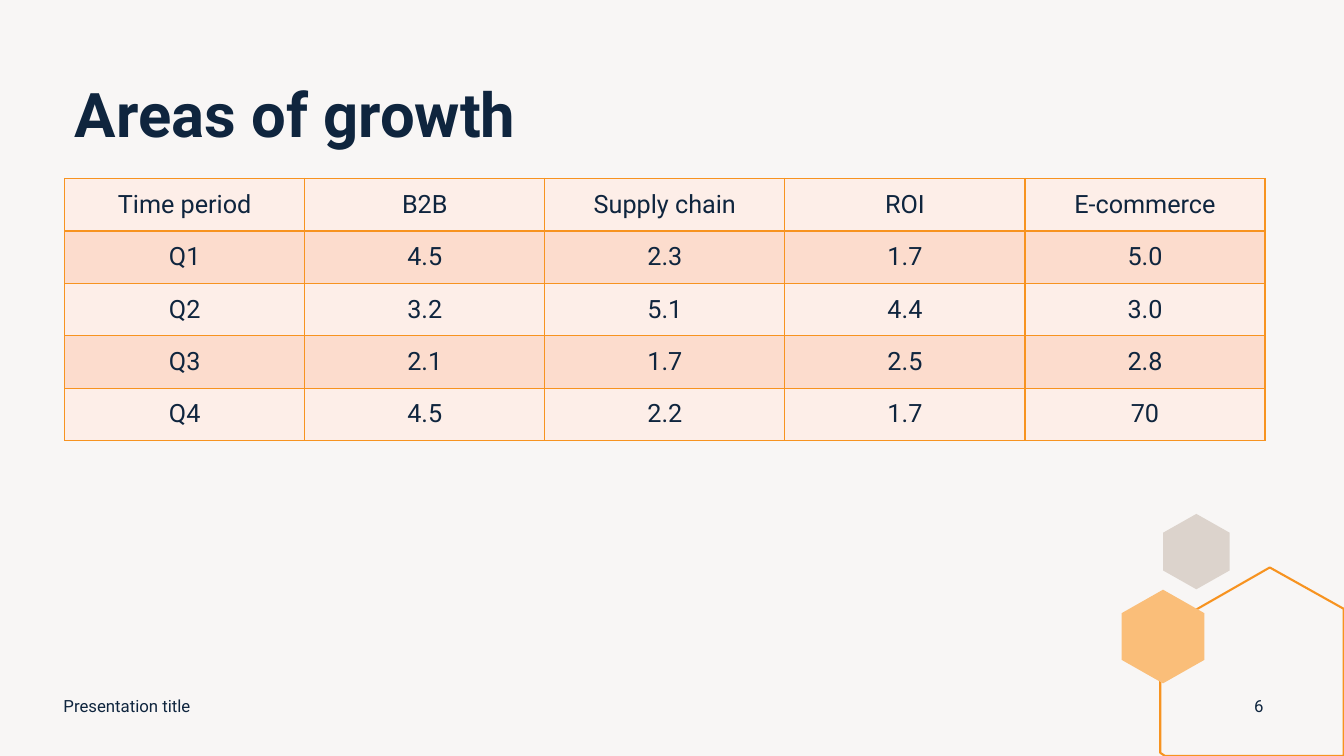
import dataclasses

import lxml.etree
import pptx
import pptx.dml.color
import pptx.enum.text
import pptx.oxml.ns
import pptx.slide
import pptx.util
from pptx.util import Cm

FONT = "Roboto"
COLORS = {
    "background": "F8F6F5",
    "text": "0F253E",
    "accent": "F79320",
    "soft accent": "FABE79",
    "stone": "DCD3CC",
    "light row": "FDEEE8",
    "dark row": "FCDCCD",
}
GROWTH = [
    ["Time period", "B2B", "Supply chain", "ROI", "E-commerce"],
    ["Q1", "4.5", "2.3", "1.7", "5.0"],
    ["Q2", "3.2", "5.1", "4.4", "3.0"],
    ["Q3", "2.1", "1.7", "2.5", "2.8"],
    ["Q4", "4.5", "2.2", "1.7", "70"],
]
COLUMN_WIDTH, ROW_HEIGHT = 6.05, 1.32
ALIGN = pptx.enum.text.PP_ALIGN
ANCHOR = pptx.enum.text.MSO_ANCHOR

Points = list[tuple[float, float]]


@dataclasses.dataclass
class Outline:
    points: Points
    fill: str | None = None
    line: str | None = None


@dataclasses.dataclass
class FooterItem:
    text: str
    left: float
    width: float
    align: ALIGN


def hexagon(left: float, top: float, width: float, height: float) -> Points:
    """Corners of an upright hexagon, clockwise from its top."""
    middle, right = left + width / 2, left + width
    upper, lower = top + height / 4, top + height * 3 / 4
    return [(middle, top), (right, upper), (right, lower),
            (middle, top + height), (left, lower), (left, upper)]


OUTLINES = [
    Outline(hexagon(29.31, 12.95, 1.68, 1.9), fill="stone"),
    Outline([(32, 14.3), (33.86, 15.34), (33.86, 19.05), (29.36, 19.05),
             (29.24, 18.97), (29.24, 15.88)], line="accent"),
    Outline(hexagon(28.27, 14.86, 2.08, 2.36), fill="soft accent"),
]
FOOTER = [
    FooterItem("Presentation title", 1.35, 11.43, ALIGN.LEFT),
    FooterItem("6", 31.09, 1.27, ALIGN.CENTER),
]


def rgb(name: str) -> pptx.dml.color.RGBColor:
    return pptx.dml.color.RGBColor.from_string(COLORS[name])


def write(frame, text: str, size: float, align: ALIGN, bold: bool = False) -> None:
    frame.text = text
    paragraph = frame.paragraphs[0]
    paragraph.alignment = align
    paragraph.font.name = FONT
    paragraph.font.size = pptx.util.Pt(size)
    paragraph.font.bold = bold
    paragraph.font.color.rgb = rgb("text")


def draw_outline(slide: pptx.slide.Slide, outline: Outline) -> None:
    start, *rest = [(Cm(x), Cm(y)) for x, y in outline.points]
    builder = slide.shapes.build_freeform(*start)
    builder.add_line_segments(rest, close=True)
    shape = builder.convert_to_shape()
    shape.shadow.inherit = False
    if outline.fill:
        shape.fill.solid()
        shape.fill.fore_color.rgb = rgb(outline.fill)
    else:
        shape.fill.background()
    if outline.line:
        shape.line.color.rgb = rgb(outline.line)
        shape.line.width = pptx.util.Pt(1.5)
    else:
        shape.line.fill.background()


def add_borders(cell) -> None:
    qn = pptx.oxml.ns.qn
    properties = cell._tc.get_or_add_tcPr()
    for side in ("a:lnL", "a:lnR", "a:lnT", "a:lnB"):
        border = lxml.etree.SubElement(properties, qn(side), w=str(pptx.util.Pt(1)))
        fill = lxml.etree.SubElement(border, qn("a:solidFill"))
        lxml.etree.SubElement(fill, qn("a:srgbClr"), val=COLORS["accent"])


def draw_table(slide: pptx.slide.Slide) -> None:
    rows, columns = len(GROWTH), len(GROWTH[0])
    growth = slide.shapes.add_table(
        rows, columns, Cm(1.63), Cm(4.5),
        Cm(COLUMN_WIDTH * columns), Cm(ROW_HEIGHT * rows)).table
    growth.first_row = growth.horz_banding = False
    for row, values in enumerate(GROWTH):
        for column, value in enumerate(values):
            cell = growth.cell(row, column)
            write(cell.text_frame, value, 18, ALIGN.CENTER)
            cell.vertical_anchor = ANCHOR.MIDDLE
            add_borders(cell)
            cell.fill.solid()
            cell.fill.fore_color.rgb = rgb("dark row" if row % 2 else "light row")


def draw_footer(slide: pptx.slide.Slide, item: FooterItem) -> None:
    frame = slide.shapes.add_textbox(
        Cm(item.left), Cm(17.27), Cm(item.width), Cm(1.02)).text_frame
    frame.word_wrap = True
    frame.vertical_anchor = ANCHOR.MIDDLE
    write(frame, item.text, 12, item.align)


def main() -> None:
    presentation = pptx.Presentation()
    presentation.slide_width, presentation.slide_height = Cm(33.87), Cm(19.05)
    slide = presentation.slides.add_slide(presentation.slide_layouts[5])
    slide.background.fill.solid()
    slide.background.fill.fore_color.rgb = rgb("background")

    # Corner hexagons
    for outline in OUTLINES:
        draw_outline(slide, outline)

    # Title
    title = slide.shapes.title
    title.left, title.top, title.width, title.height = (
        Cm(1.63), Cm(2), Cm(30.25), Cm(3.94))
    write(title.text_frame, "Areas of growth", 44, ALIGN.LEFT, bold=True)
    title.text_frame.paragraphs[0].line_spacing = 0.9
    title.text_frame.vertical_anchor = ANCHOR.TOP
    title.text_frame.auto_size = pptx.enum.text.MSO_AUTO_SIZE.NONE

    # Growth figures
    draw_table(slide)

    # Footer
    for item in FOOTER:
        draw_footer(slide, item)

    presentation.save("out.pptx")


if __name__ == "__main__":
    main()
